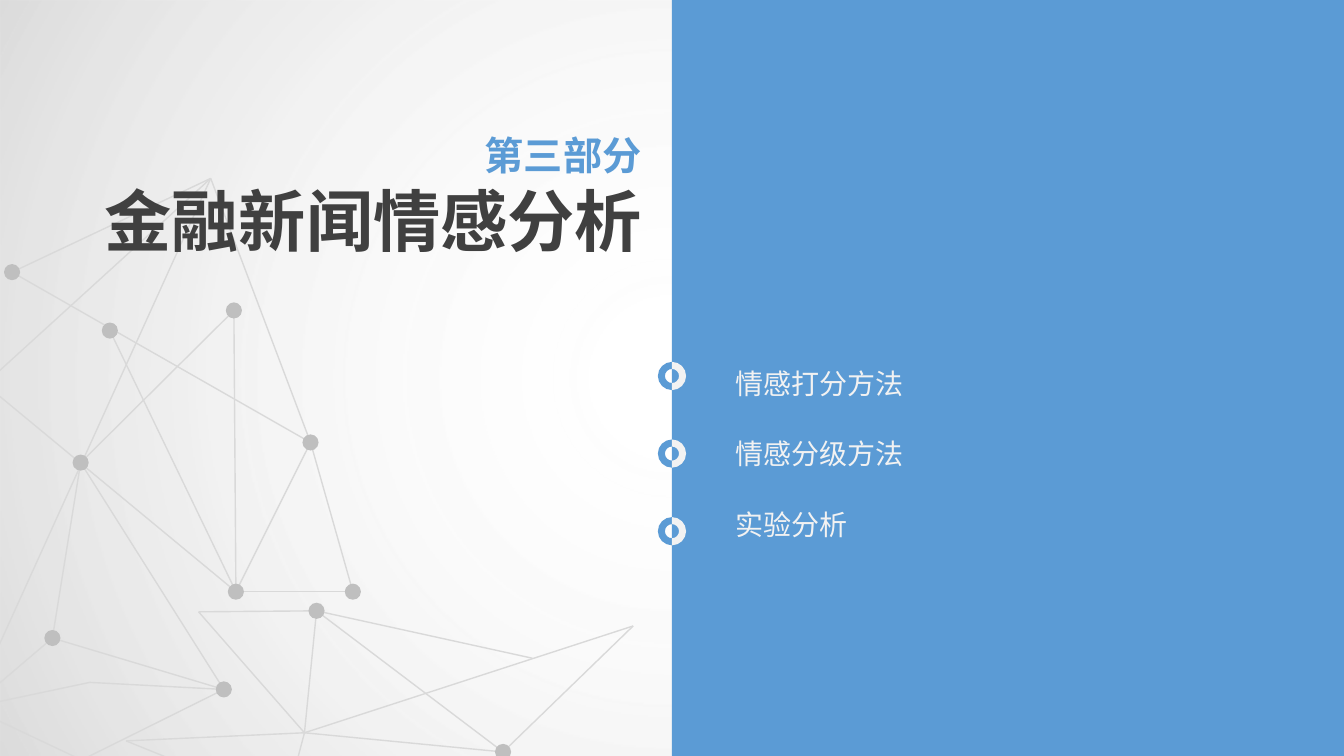
from math import cos, pi, sin

from lxml.etree import SubElement
from pptx import Presentation
from pptx.dml.color import RGBColor
from pptx.enum.shapes import MSO_CONNECTOR as Line, MSO_SHAPE as Shape
from pptx.enum.text import MSO_ANCHOR as Anchor, MSO_AUTO_SIZE as AutoSize, PP_ALIGN as Align
from pptx.oxml import parse_xml
from pptx.oxml.ns import nsdecls, qn
from pptx.util import Inches, Pt

FONT = "Noto Sans CJK SC"
COLORS = {"blue": "5B9BD5", "dark": "404040", "pale": "F2F2F2",
          "edge": "D9D9D9", "dot": "BFBFBF"}
WIDTH, HEIGHT = 13.33, 7.5
MIDDLE = WIDTH / 2

deck = Presentation()
deck.slide_width, deck.slide_height = Inches(WIDTH), Inches(HEIGHT)
page = deck.slides.add_slide(deck.slide_layouts[1])


def paint(shape, color):
    """Give a shape a plain fill without outline or shadow."""
    shape.fill.solid()
    shape.fill.fore_color.rgb = RGBColor.from_string(COLORS[color])
    shape.line.fill.background()
    shape.shadow.inherit = False


def write(box, place, lines, size, color, bold=False, align=Align.LEFT, gap=0):
    """Place a box in front of the other shapes and fill it with paragraphs."""
    box.left, box.top, box.width, box.height = (Inches(value) for value in place)
    page.shapes.element.append(box.element)
    frame = box.text_frame
    frame.word_wrap = False
    frame.auto_size = AutoSize.NONE
    frame.vertical_anchor = Anchor.MIDDLE
    for index, text in enumerate(lines):
        para = frame.add_paragraph() if index else frame.paragraphs[0]
        properties = para._p.get_or_add_pPr()
        properties.set("marL", "0")
        properties.set("indent", "0")
        SubElement(properties, qn("a:buNone"))
        para.alignment = align
        para.line_spacing = 1.0
        para.space_before = Pt(gap if index else 0)
        span = para.add_run()
        span.text = text
        span.font.name = FONT
        SubElement(span._r.get_or_add_rPr(), qn("a:ea")).set("typeface", FONT)
        span.font.size = Pt(size)
        span.font.bold = bold
        span.font.color.rgb = RGBColor.from_string(COLORS[color])


# Backdrop: white centre fading to grey corners
backdrop = page.shapes.add_shape(Shape.RECTANGLE, 0, 0, Inches(WIDTH), Inches(HEIGHT))
backdrop.line.fill.background()
backdrop.shadow.inherit = False
stops = "".join(
    f'<a:gs pos="{position * 1000}"><a:srgbClr val="{color}">'
    f'<a:alpha val="{alpha * 1000}"/></a:srgbClr></a:gs>'
    for position, color, alpha in [(0, "FFFFFF", 0), (67, "BFBFBF", 25), (100, "A6A6A6", 40)])
backdrop.element.spPr.find(qn("a:prstGeom")).addnext(parse_xml(
    f'<a:gradFill {nsdecls("a")} rotWithShape="1"><a:gsLst>{stops}</a:gsLst>'
    '<a:path path="circle"><a:fillToRect l="50000" t="50000" r="50000" b="50000"/></a:path>'
    '</a:gradFill>'))

# Networks: dots are the visible nodes, corners only join lines
networks = [
    {"dots": {"top": (3.14, 6.06), "low": (4.99, 7.46)},
     "corners": {"hub": (3.02, 7.27), "left": (1.97, 6.07), "below": (2.83, 7.99),
                 "west": (1.25, 7.35), "east": (6.28, 6.21), "mid": (5.28, 6.53)},
     "edges": {"hub": ["low", "top", "below", "west", "east"], "left": ["top", "hub"],
               "low": ["top", "east"], "west": ["below"], "mid": ["top"]}},
    {"dots": {"far": (0.12, 2.7), "upper": (1.09, 3.28), "crown": (2.32, 3.08),
              "right": (3.08, 4.39), "tail": (3.5, 5.87), "base": (2.34, 5.87),
              "left": (0.8, 4.59), "low": (2.22, 6.84), "foot": (0.52, 6.33)},
     "corners": {"peak": (2.09, 1.77), "west": (-0.15, 3.81), "exit": (-0.29, 7.02),
                 "bend": (0.89, 6.77), "under": (0.81, 7.54)},
     "edges": {"peak": ["west", "exit", "right", "far"], "right": ["tail", "base", "far"],
               "base": ["west", "upper", "crown", "tail"], "left": ["crown", "foot", "low"],
               "foot": ["exit", "low"], "bend": ["low", "exit"], "under": ["low", "exit"]}},
]
DOT = 0.16
for network in networks:
    group = page.shapes.add_group_shape()
    nodes = network["dots"] | network["corners"]
    for start, ends in network["edges"].items():
        for end in ends:
            edge = group.shapes.add_connector(
                Line.STRAIGHT, *(Inches(value) for value in nodes[start] + nodes[end]))
            edge.line.color.rgb = RGBColor.from_string(COLORS["edge"])
            edge.line.width = Pt(1)
            SubElement(edge.element.spPr, qn("a:effectLst"))
    for x, y in network["dots"].values():
        dot = group.shapes.add_shape(Shape.OVAL, Inches(x - DOT / 2), Inches(y - DOT / 2),
                                     Inches(DOT), Inches(DOT))
        paint(dot, "dot")

panel = page.shapes.add_shape(Shape.RECTANGLE, Inches(MIDDLE), 0,
                              Inches(MIDDLE), Inches(HEIGHT))
paint(panel, "blue")

# Ring markers: a blue half on the left, a pale half on the panel
topics = ["情感打分方法", "情感分级方法", "实验分析"]
FIRST, PITCH, OUTER, INNER, STEPS = 3.73, 0.77, 0.14, 0.07, 8
angles = [pi * step / STEPS for step in range(STEPS + 1)]
for row in range(len(topics)):
    center = FIRST + row * PITCH
    ring = page.shapes.add_group_shape()
    for side, color in [(-1, "blue"), (1, "pale")]:
        outline = [(Inches(MIDDLE + side * radius * sin(angle)),
                    Inches(center - radius * cos(angle)))
                   for radius, sweep in [(OUTER, angles), (INNER, angles[::-1])]
                   for angle in sweep]
        builder = ring.shapes.build_freeform(*outline[0])
        builder.add_line_segments(outline[1:], close=True)
        paint(builder.convert_to_shape(), color)

write(page.shapes.title, (0.88, 1.72, 5.59, 0.91), ["金融新闻情感分析"], 48, "dark",
      bold=True, align=Align.RIGHT)
write(page.shapes.add_textbox(0, 0, 0, 0), (4.7, 1.25, 1.77, 0.57), ["第三部分"], 28, "blue",
      bold=True, align=Align.CENTER)
write(page.placeholders[1], (7.19, 3.51, 1.88, 1.98), topics, 20, "pale", gap=26.5)

deck.save("out.pptx")
